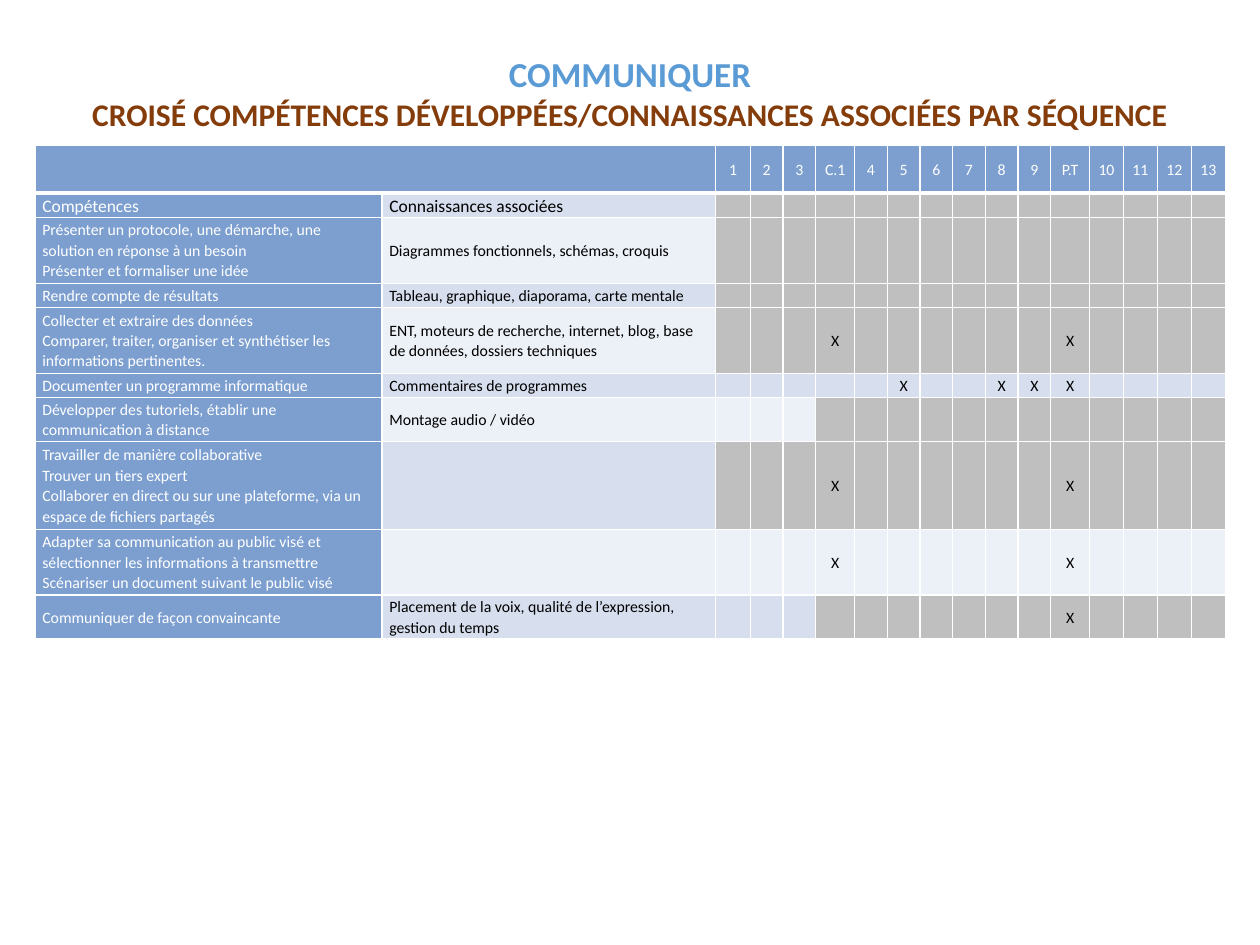
from lxml import etree
from pptx import Presentation
from pptx.dml.color import RGBColor
from pptx.enum import text
from pptx.oxml import ns
from pptx.util import Pt

BLUE = RGBColor(0x7C, 0x9F, 0xD0)
BANDS = [RGBColor(0xD7, 0xDF, 0xEE), RGBColor(0xEC, 0xF0, 0xF7)]
GREY = RGBColor(0xBF, 0xBF, 0xBF)
WHITE = RGBColor(0xFF, 0xFF, 0xFF)
BLACK = RGBColor(0, 0, 0)
TITLE_BLUE = RGBColor(0x5B, 0x9B, 0xD5)
TITLE_BROWN = RGBColor(0x84, 0x3C, 0x0B)
FONT = "Calibri"

TITLE_LINES = [
    ("COMMUNIQUER", 20, TITLE_BLUE),
    ("CROISÉ COMPÉTENCES DÉVELOPPÉES/CONNAISSANCES ASSOCIÉES PAR SÉQUENCE", 18, TITLE_BROWN),
]
SEQUENCES = ["1", "2", "3", "C.1", "4", "5", "6", "7", "8", "9", "P.T", "10", "11", "12", "13"]
NO_GREY = len(SEQUENCES)
WIDTHS = [198.3, 190.8, 19.8] + [18.7] * 2 + [22.2] + [18.7] * 6 + [22.2] + [19.4] * 4
HEADER_HEIGHT = 27.2

# height, skills, knowledge, index of first grey sequence, marked sequences
ROWS = [
    (13.9, "Compétences", "Connaissances associées", 0, []),
    (37.6, "Présenter un protocole, une démarche, une solution en réponse à un besoin\n"
           "Présenter et formaliser une idée",
     "Diagrammes fonctionnels, schémas, croquis", 0, []),
    (13.9, "Rendre compte de résultats", "Tableau, graphique, diaporama, carte mentale", 0, []),
    (37.6, "Collecter et extraire des données\n"
           "Comparer, traiter, organiser et synthétiser les informations pertinentes.",
     "ENT, moteurs de recherche, internet, blog, base de données, dossiers techniques",
     0, ["C.1", "P.T"]),
    (13.9, "Documenter un programme informatique", "Commentaires de programmes",
     NO_GREY, ["5", "8", "9", "P.T"]),
    (25.1, "Développer des tutoriels, établir une communication à distance",
     "Montage audio / vidéo", 3, []),
    (50.2, "Travailler de manière collaborative\nTrouver un tiers expert\n"
           "Collaborer en direct ou sur une plateforme, via un espace de fichiers partagés",
     "", 0, ["C.1", "P.T"]),
    (37.6, "Adapter sa communication au public visé et sélectionner les informations à transmettre\n"
           "Scénariser un document suivant le public visé",
     "", NO_GREY, ["C.1", "P.T"]),
    (25.1, "Communiquer de façon convaincante",
     "Placement de la voix, qualité de l’expression, gestion du temps", 3, ["P.T"]),
]


def add_title(page, left, top, width, height):
    box = page.shapes.title
    box.left, box.top, box.width, box.height = Pt(left), Pt(top), Pt(width), Pt(height)
    frame = box.text_frame
    frame.word_wrap = True
    frame.auto_size = text.MSO_AUTO_SIZE.NONE
    frame.vertical_anchor = text.MSO_ANCHOR.TOP
    frame.text = "\n".join(line for line, _, _ in TITLE_LINES)
    for para, (_, size, color) in zip(frame.paragraphs, TITLE_LINES):
        para.alignment = text.PP_ALIGN.CENTER
        para.font.name = FONT
        para.font.size = Pt(size)
        para.font.bold = True
        para.font.color.rgb = color


def set_borders(cell, bottom):
    properties = cell._tc.get_or_add_tcPr()
    for side, weight in (("L", 1), ("R", 1), ("T", 1), ("B", bottom)):
        line = etree.SubElement(properties, ns.qn(f"a:ln{side}"), w=str(Pt(weight)))
        fill = etree.SubElement(line, ns.qn("a:solidFill"))
        etree.SubElement(fill, ns.qn("a:srgbClr"), val=str(WHITE))


def fill_cell(cell, words, fill, color, size=9, centred=False, bottom=1):
    set_borders(cell, bottom)
    cell.fill.solid()
    cell.fill.fore_color.rgb = fill
    cell.vertical_anchor = text.MSO_ANCHOR.MIDDLE
    cell.margin_left = cell.margin_right = Pt(4.3)
    cell.margin_top = cell.margin_bottom = Pt(0)
    cell.text = words
    for para in cell.text_frame.paragraphs:
        para.alignment = text.PP_ALIGN.CENTER if centred else text.PP_ALIGN.LEFT
        para.line_spacing = 1.07
        para.font.name = FONT
        para.font.size = Pt(size)
        para.font.color.rgb = color
        if not words:
            para._p.get_or_add_endParaRPr().set("sz", str(size * 100))


def add_skills_table(page, left, top):
    heights = [HEADER_HEIGHT] + [row[0] for row in ROWS]
    table = page.shapes.add_table(len(heights), len(WIDTHS), Pt(left), Pt(top),
                                  Pt(sum(WIDTHS)), Pt(sum(heights))).table
    table.first_row = table.horz_banding = False
    for column, width in zip(table.columns, WIDTHS):
        column.width = Pt(width)
    for row, height in zip(table.rows, heights):
        row.height = Pt(height)

    for index, label in enumerate(["", ""] + SEQUENCES):
        fill_cell(table.cell(0, index), label, BLUE, WHITE, centred=True, bottom=3)
    table.cell(0, 0).merge(table.cell(0, 1))

    for number, (_, skills, knowledge, first_grey, marked) in enumerate(ROWS, 1):
        size = 10 if number == 1 else 9
        band = BANDS[(number - 1) % 2]
        fill_cell(table.cell(number, 0), skills, BLUE, WHITE, size)
        fill_cell(table.cell(number, 1), knowledge, band, BLACK, size)
        for index, sequence in enumerate(SEQUENCES):
            fill_cell(table.cell(number, index + 2), "X" if sequence in marked else "",
                      GREY if index >= first_grey else band, BLACK, centred=True)


def main():
    deck = Presentation()
    deck.slide_width, deck.slide_height = Pt(720), Pt(540)
    page = deck.slides.add_slide(deck.slide_layouts[5])
    add_title(page, 0, 26.6, 720, 53.3)
    add_skills_table(page, 19.9, 83.2)
    deck.save("out.pptx")


if __name__ == "__main__":
    main()
